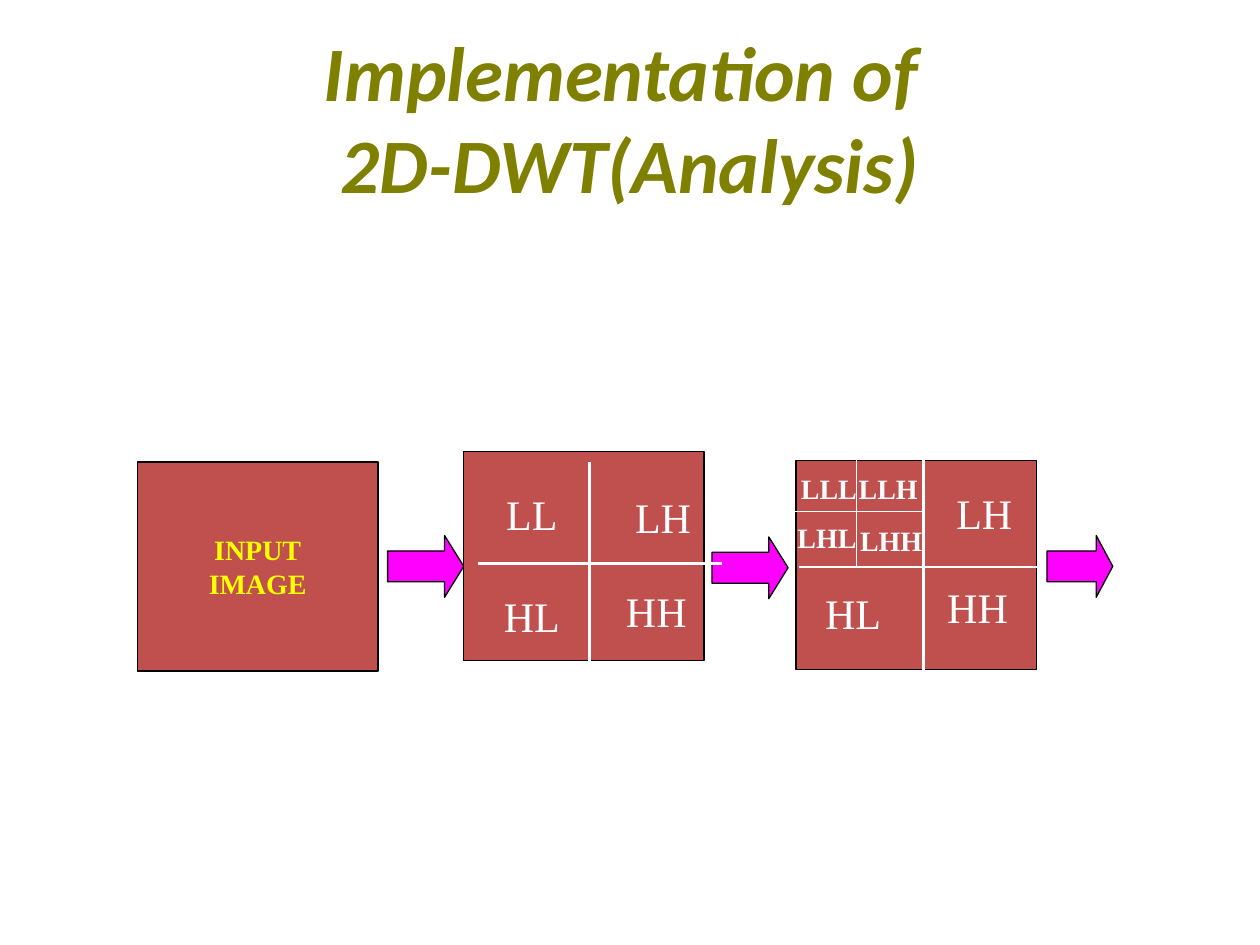
from pptx import Presentation
from pptx.dml.color import RGBColor
from pptx.enum.shapes import MSO_CONNECTOR, MSO_SHAPE
from pptx.enum.text import MSO_ANCHOR, MSO_AUTO_SIZE, PP_ALIGN
from pptx.oxml.ns import qn
from pptx.util import Pt
from lxml.etree import SubElement

OLIVE = RGBColor(0x80, 0x80, 0x00)
BRICK = RGBColor(0xC0, 0x50, 0x4D)
MAGENTA = RGBColor(0xFF, 0x00, 0xFF)
YELLOW = RGBColor(0xFF, 0xFF, 0x00)
WHITE = RGBColor(0xFF, 0xFF, 0xFF)
BLACK = RGBColor(0x00, 0x00, 0x00)

BLOCK_WIDTH, BLOCK_HEIGHT = 137.5, 119.5
ARROW_HEIGHT = 35.3
BAND_OFFSETS = {"LH": (75, 1.4, 46.8), "HL": (0, 58.3, 46.8), "HH": (69.8, 55.4, 49)}


class WaveletSlide:
    """Draws the decomposition steps on one slide in a shared style."""

    def __init__(self, slide):
        self.slide = slide
        self.font_name = "Times New Roman"

    def style_text(self, paragraph, size, color, bold=False, italic=False, name=None):
        font = paragraph.font
        font.name = name or self.font_name
        font.size = Pt(size)
        font.bold = bold
        font.italic = italic
        font.color.rgb = color

    def title(self, text, left, top, width, height):
        heading = self.slide.shapes.add_textbox(Pt(left), Pt(top), Pt(width), Pt(height))
        frame = heading.text_frame
        frame.word_wrap = True
        frame.vertical_anchor = MSO_ANCHOR.MIDDLE
        paragraph = frame.paragraphs[0]
        paragraph.text = text
        paragraph.alignment = PP_ALIGN.CENTER
        self.style_text(paragraph, 44, OLIVE, bold=True, italic=True, name="Calibri")

    def preset(self, kind, left, top, width, height, fill):
        shape = self.slide.shapes.add_shape(kind, Pt(left), Pt(top), Pt(width), Pt(height))
        shape.shadow.inherit = False
        shape.fill.solid()
        shape.fill.fore_color.rgb = fill
        shape.line.color.rgb = BLACK
        shape.line.width = Pt(0.75)
        return shape

    def arrow(self, left, top, width, head):
        arrow = self.preset(MSO_SHAPE.RIGHT_ARROW, left, top, width, ARROW_HEIGHT, MAGENTA)
        arrow.adjustments[0] = 0.5
        arrow.adjustments[1] = head

    def block(self, left, top, lines=()):
        block = self.preset(MSO_SHAPE.RECTANGLE, left, top, BLOCK_WIDTH, BLOCK_HEIGHT, BRICK)
        if lines:
            frame = block.text_frame
            frame.word_wrap = False
            frame.vertical_anchor = MSO_ANCHOR.MIDDLE
            frame.text = "\n".join(lines)
            for paragraph in frame.paragraphs:
                paragraph.alignment = PP_ALIGN.CENTER
                self.style_text(paragraph, 16, YELLOW, bold=True)

    def divider(self, x1, y1, x2, y2, weight=1.5):
        divider = self.slide.shapes.add_connector(
            MSO_CONNECTOR.STRAIGHT, Pt(x1), Pt(y1), Pt(x2), Pt(y2))
        divider.line.color.rgb = WHITE
        divider.line.width = Pt(weight)
        SubElement(divider._element.spPr, qn("a:effectLst"))

    def label(self, text, left, top, width, height=36, size=24, bold=False, wrap=False):
        label = self.slide.shapes.add_textbox(Pt(left), Pt(top), Pt(width), Pt(height))
        frame = label.text_frame
        frame.word_wrap = wrap
        frame.auto_size = MSO_AUTO_SIZE.SHAPE_TO_FIT_TEXT
        frame.text = text
        self.style_text(frame.paragraphs[0], size, WHITE, bold=bold)

    def band_labels(self, left, top):
        for band, (dx, dy, width) in BAND_OFFSETS.items():
            self.label(band, left + dx, top + dy, width)

    def sub_band_label(self, text, left, top):
        self.label(text, left, top, 51, 26.6, size=16, bold=True, wrap=True)


def main():
    presentation = Presentation()
    presentation.slide_width, presentation.slide_height = Pt(720), Pt(540)
    page = WaveletSlide(presentation.slides.add_slide(presentation.slide_layouts[6]))

    page.title("Implementation of \v2D-DWT(Analysis)", 36, 21.6, 648, 90)

    for left, top, width, head in ((221.5, 306, 43.5, 0.311), (406.8, 306.8, 43.5, 0.311),
                                   (598.3, 306, 37.6, 0.268)):
        page.arrow(left, top, width, head)

    page.block(78.5, 264, ("INPUT", "IMAGE"))

    page.block(264.8, 258)
    page.divider(273, 321.9, 412.4, 321.9)
    page.divider(337, 264.2, 337, 385)
    page.band_labels(280.8, 275.8)
    page.label("LL", 282.2, 275.8, 44)

    page.block(454.8, 263.3)
    page.divider(456.6, 324, 596.2, 324)
    page.divider(527.8, 262.2, 527.8, 383)
    page.band_labels(464.4, 273.6)
    page.divider(489.6, 262.8, 489.6, 324, weight=0.75)
    page.divider(453.6, 292.2, 528.5, 292.2, weight=0.75)
    for text, left, top in (("LHH", 484.4, 295.4), ("LLH", 483.6, 265.7),
                            ("LHL", 448.6, 294), ("LLL", 450.6, 265.7)):
        page.sub_band_label(text, left, top)

    presentation.save("out.pptx")


if __name__ == "__main__":
    main()
